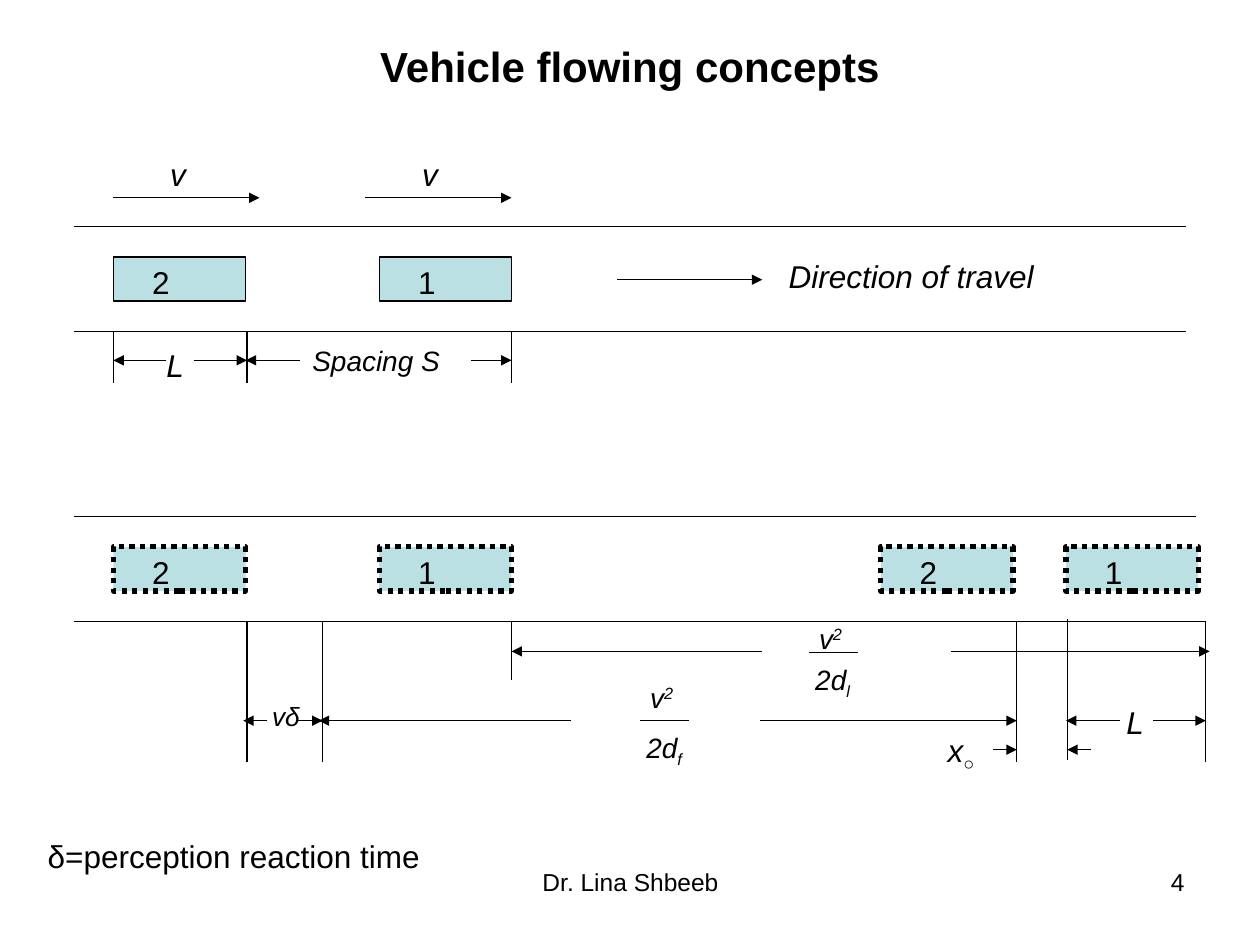
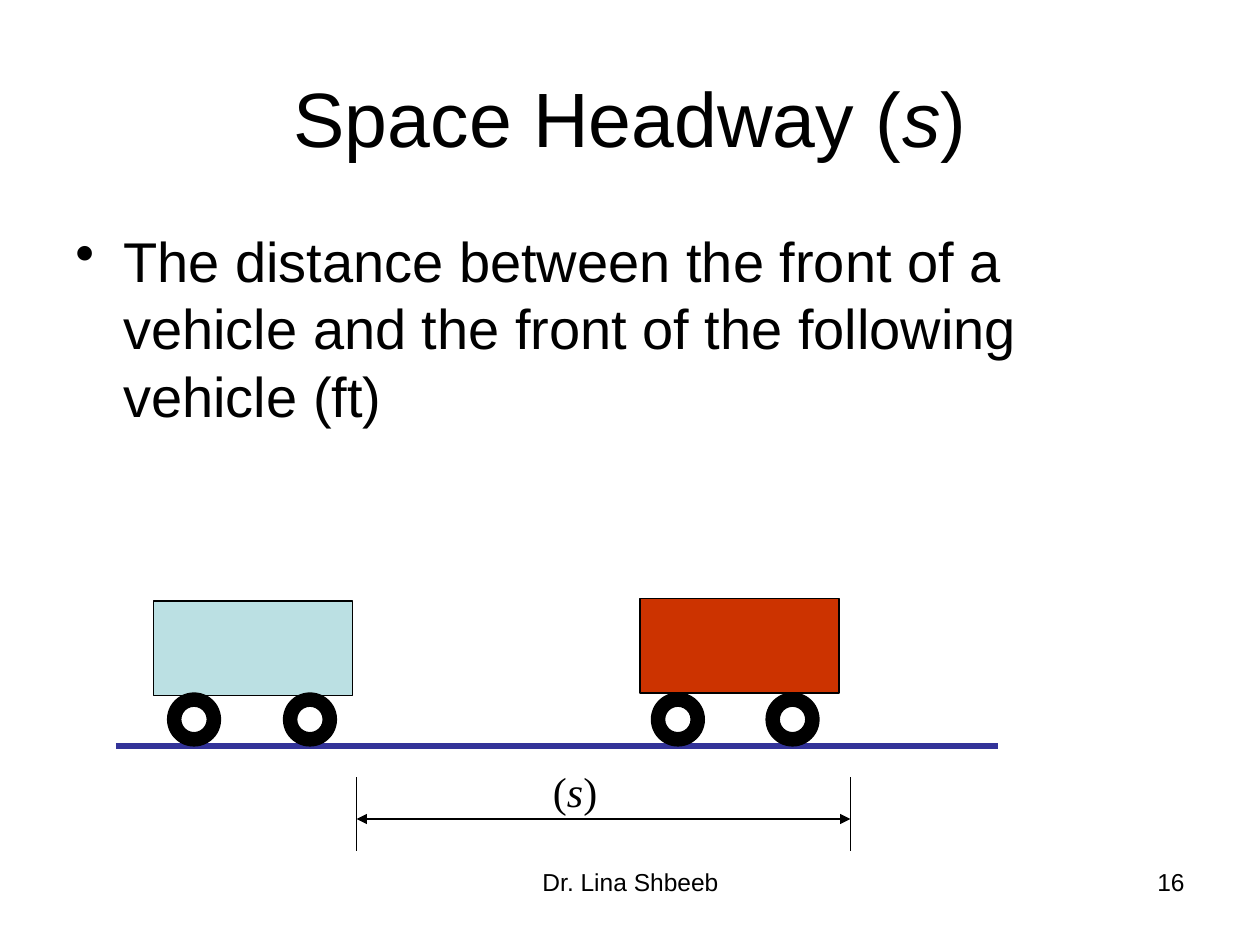
from typing import NamedTuple

from lxml import etree
from pptx import Presentation
from pptx.dml.color import RGBColor
from pptx.enum.dml import MSO_LINE
from pptx.enum.shapes import MSO_CONNECTOR, MSO_SHAPE
from pptx.enum.text import MSO_ANCHOR, PP_ALIGN
from pptx.oxml.ns import qn
from pptx.util import Inches, Pt

RECTANGLE, DONUT = MSO_SHAPE.RECTANGLE, MSO_SHAPE.DONUT
STRAIGHT = MSO_CONNECTOR.STRAIGHT
DOTTED = MSO_LINE.ROUND_DOT
TOP, MIDDLE = MSO_ANCHOR.TOP, MSO_ANCHOR.MIDDLE
LEFT, CENTER, RIGHT = PP_ALIGN.LEFT, PP_ALIGN.CENTER, PP_ALIGN.RIGHT

BLACK, PALE_TEAL, RED, ROAD_BLUE = "000000", "BBE0E3", "CC3300", "333399"
SANS, SERIF = "Arial", "Times New Roman"
THIN, THICK = 0.75, 3


class Span(NamedTuple):
    text: str
    italic: bool = False
    baseline: int = 0  # percent of the text size


class Label(NamedTuple):
    left: float
    top: float
    width: float
    height: float
    spans: list[Span]
    size: float = 18


class Gauge(NamedTuple):
    """A dimension line: two arrows pointing outwards from a gap."""
    left: float
    gap_left: float
    gap_right: float
    right: float
    y: float


class Fraction(NamedTuple):
    left: float
    bar_y: float
    numerator_rise: float
    subscript: str


class Car(NamedTuple):
    left: float
    top: float
    number: str
    dotted: bool


class Wagon(NamedTuple):
    left: float
    top: float
    color: str
    wheels: tuple[float, float]


def rgb(color: str) -> RGBColor:
    return RGBColor.from_string(color)


def add_text(page, label: Label, inset: bool = True, align=LEFT, anchor=TOP,
             bold: bool = False, font: str = SANS, bullet: str = ""):
    box = page.shapes.add_textbox(*map(Inches, label[:4]))
    frame = box.text_frame
    frame.word_wrap = True
    frame.vertical_anchor = anchor
    frame.margin_left = frame.margin_right = Inches(0.1 if inset else 0)
    frame.margin_top = frame.margin_bottom = Inches(0.05 if inset else 0)
    para = frame.paragraphs[0]
    para.alignment = align
    if bullet:
        properties = para._p.get_or_add_pPr()
        properties.set("marL", str(Inches(0.38)))
        properties.set("indent", str(Inches(-0.38)))
        etree.SubElement(properties, qn("a:buChar")).set("char", bullet)
    for part in label.spans:
        span = para.add_run()
        span.text = part.text
        span.font.name = font
        span.font.size = Pt(label.size)
        span.font.bold = bold
        span.font.italic = part.italic
        span.font.color.rgb = rgb(BLACK)
        if part.baseline:
            span._r.get_or_add_rPr().set("baseline", str(part.baseline * 1000))


def add_line(page, x1: float, y1: float, x2: float, y2: float,
             ends: tuple[str, ...] = (), color: str = BLACK, weight: float = THIN):
    """Draw a line; ends names the arrowheads: headEnd, tailEnd or both."""
    line = page.shapes.add_connector(STRAIGHT, *map(Inches, (x1, y1, x2, y2)))
    line.line.color.rgb = rgb(color)
    line.line.width = Pt(weight)
    outline = line.line._get_or_add_ln()
    for end in ends:
        etree.SubElement(outline, qn(f"a:{end}")).set("type", "triangle")
    etree.SubElement(line._element.spPr, qn("a:effectLst"))


def add_arrow(page, x1: float, x2: float, y: float):
    add_line(page, x1, y, x2, y, ("tailEnd",))


def add_gauge(page, gauge: Gauge):
    add_arrow(page, gauge.gap_left, gauge.left, gauge.y)
    add_arrow(page, gauge.gap_right, gauge.right, gauge.y)


def add_solid(page, kind, left: float, top: float, width: float, height: float,
              color: str, weight: float = THIN):
    shape = page.shapes.add_shape(kind, *map(Inches, (left, top, width, height)))
    shape.shadow.inherit = False
    shape.fill.solid()
    shape.fill.fore_color.rgb = rgb(color)
    shape.line.color.rgb = rgb(BLACK)
    shape.line.width = Pt(weight)
    return shape


def add_car(page, car: Car):
    weight = THICK if car.dotted else THIN
    body = add_solid(page, RECTANGLE, car.left, car.top, 1.05, 0.35, PALE_TEAL, weight)
    if car.dotted:
        body.line.dash_style = DOTTED
    add_text(page, Label(car.left + 0.21, car.top, 0.63, 0.4, [Span(car.number)]))


def add_fraction(page, fraction: Fraction):
    x, y = fraction.left, fraction.bar_y
    add_line(page, x, y, x + 0.39, y)
    add_text(page, Label(x + 0.08, y - fraction.numerator_rise, 0.55, 0.27,
                         [Span("v", True), Span("2", True, 32)], 16), inset=False)
    add_text(page, Label(x + 0.05, y + 0.08, 0.42, 0.3,
                         [Span("2d", True), Span(fraction.subscript, True, -25)], 16),
             inset=False)


def add_wagon(page, wagon: Wagon):
    add_solid(page, RECTANGLE, wagon.left, wagon.top, 1.58, 0.75, wagon.color)
    for wheel_left in wagon.wheels:
        wheel = add_solid(page, DONUT, wheel_left, 5.5, 0.42, 0.42, BLACK)
        wheel.adjustments[0] = 0.25


def add_page(deck, title: list[Span], title_height: float, title_size: float,
             bold: bool, number: str):
    """Start a blank page with its title and footer."""
    page = deck.slides.add_slide(deck.slide_layouts[6])
    add_text(page, Label(0.5, 0.3, 9, title_height, title, title_size),
             align=CENTER, anchor=MIDDLE, bold=bold)
    add_text(page, Label(3.42, 6.83, 3.17, 0.52, [Span("Dr. Lina Shbeeb")], 14), align=CENTER)
    add_text(page, Label(7.17, 6.83, 2.33, 0.52, [Span(number)], 14), align=RIGHT)
    return page


def build_flow_page(deck):
    page = add_page(deck, [Span("Vehicle flowing concepts")], 0.44, 24, True, "4")

    # Road edges: moving traffic above, stopping traffic below
    for y, right in ((1.8, 9.41), (2.63, 9.41), (4.1, 9.49), (4.93, 9.57)):
        add_line(page, 0.59, y, right, y)

    # Cars
    for car in (Car(0.9, 2.04, "2", False), Car(3.01, 2.04, "1", False),
                Car(0.9, 4.34, "2", True), Car(3.01, 4.34, "1", True),
                Car(6.99, 4.34, "2", True), Car(8.46, 4.34, "1", True)):
        add_car(page, car)

    # Extension lines below each road
    for x, top, bottom in ((0.9, 2.63, 3.04), (1.96, 2.63, 3.04), (4.06, 2.63, 3.04),
                           (1.96, 4.93, 6.05), (2.56, 4.93, 6.05), (4.06, 4.93, 5.4),
                           (8.07, 4.93, 6.05), (8.47, 4.91, 6.03), (9.57, 4.93, 6.05)):
        add_line(page, x, top, x, bottom)

    # Speed and direction arrows, then the two arrows closing in on x
    for start, end, y in ((0.9, 2.06, 1.57), (2.9, 4.06, 1.57), (4.9, 6.05, 2.22),
                          (7.88, 8.07, 5.95), (8.66, 8.47, 5.95)):
        add_arrow(page, start, end, y)

    # Dimension lines
    for gauge in (Gauge(0.9, 1.32, 1.54, 1.96, 2.86), Gauge(1.95, 2.38, 3.74, 4.06, 2.86),
                  Gauge(4.06, 6.05, 7.55, 9.6, 5.17), Gauge(1.93, 2.12, 2.36, 2.56, 5.72),
                  Gauge(2.53, 4.53, 6.03, 8.07, 5.72), Gauge(8.46, 8.89, 9.15, 9.57, 5.72)):
        add_gauge(page, gauge)

    # Labels and braking distances
    for label in (Label(1.35, 1.23, 0.18, 0.3, [Span("v", True)]),
                  Label(3.35, 1.23, 0.18, 0.3, [Span("v", True)]),
                  Label(6.26, 2.04, 3.26, 0.3, [Span("Direction of travel", True)]),
                  Label(1.32, 2.75, 0.42, 0.3, [Span("L", True)]),
                  Label(2.48, 2.73, 1.57, 0.27, [Span("Spacing S", True)], 16),
                  Label(8.94, 5.58, 0.42, 0.3, [Span("L", True)]),
                  Label(2.16, 5.56, 0.24, 0.25, [Span("vδ", True)], 15),
                  Label(7.52, 5.8, 0.31, 0.34, [Span("x", True), Span("○", True, -25)])):
        add_text(page, label, inset=False)
    add_fraction(page, Fraction(5.08, 5.72, 0.32, "f"))
    add_fraction(page, Fraction(6.42, 5.18, 0.25, "l"))
    add_text(page, Label(0.28, 6.59, 4.49, 0.4, [Span("δ=perception reaction time")]))


def build_headway_page(deck):
    title = [Span("Space Headway ("), Span("s", True), Span(")")]
    page = add_page(deck, title, 1.25, 44, False, "16")
    definition = ("The distance between the front of a vehicle "
                  "and the front of the following vehicle (ft)")
    add_text(page, Label(0.5, 1.75, 9, 4.95, [Span(definition)], 32), bullet="•")

    # Road and the two vehicles
    add_line(page, 0.92, 5.92, 7.92, 5.92, color=ROAD_BLUE, weight=THICK)
    add_wagon(page, Wagon(1.22, 4.77, PALE_TEAL, (1.33, 2.25)))
    add_wagon(page, Wagon(5.08, 4.75, RED, (5.17, 6.08)))

    # Headway dimension, front to front
    front_left, front_right = 2.83, 6.75
    for x in (front_left, front_right):
        add_line(page, x, 6.17, x, 6.75)
    add_line(page, front_left, 6.5, front_right, 6.5, ("headEnd", "tailEnd"))
    add_text(page, Label(4.29, 6.03, 0.75, 0.5, [Span("("), Span("s", True), Span(")")], 24),
             font=SERIF)


def main():
    deck = Presentation()
    deck.slide_width, deck.slide_height = Inches(10), Inches(7.5)
    build_flow_page(deck)
    build_headway_page(deck)
    deck.save("out.pptx")


if __name__ == "__main__":
    main()
